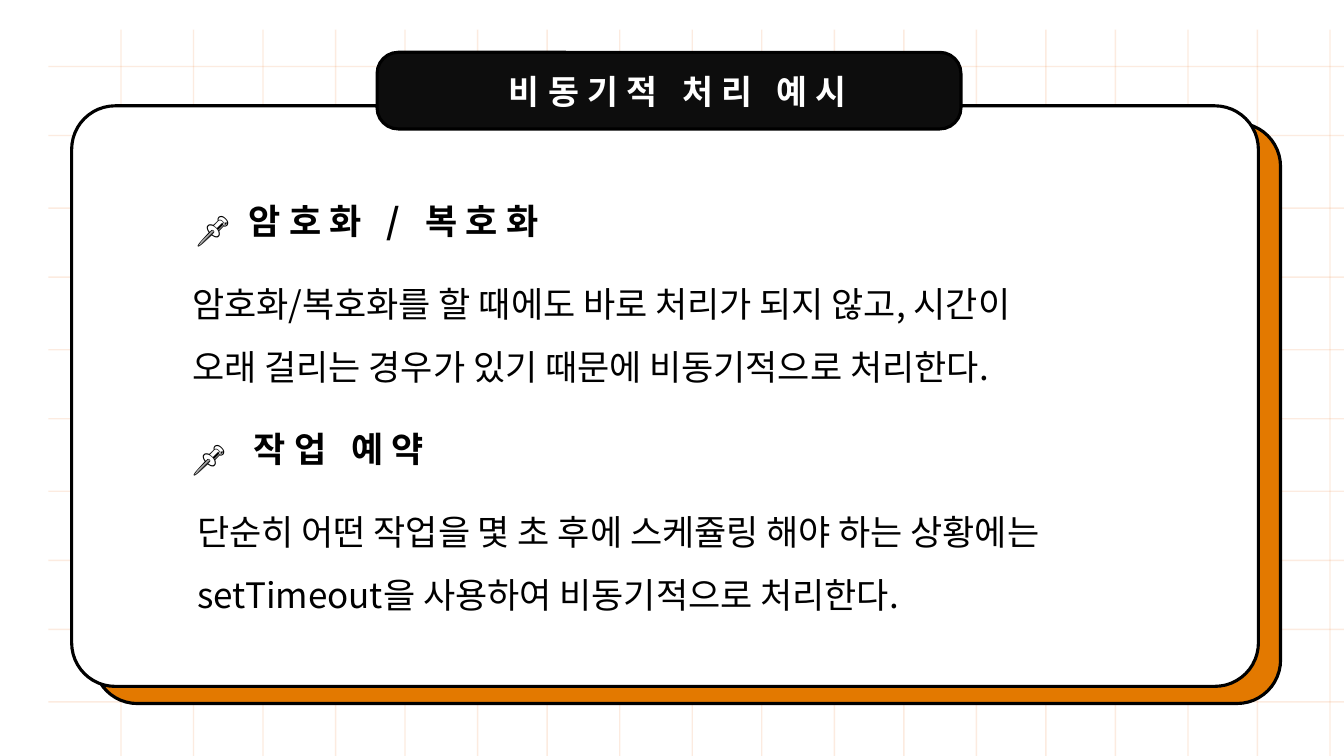
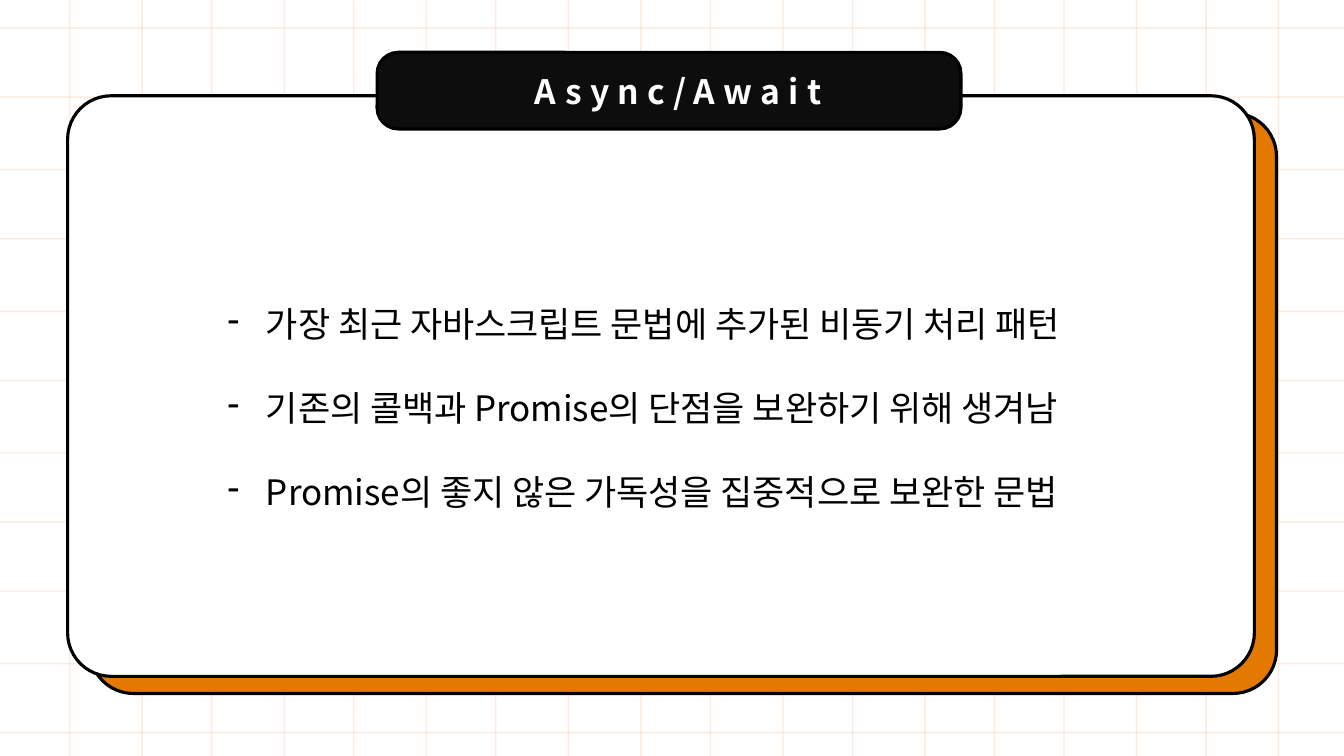
from dataclasses import dataclass
from itertools import accumulate

import pptx
import pptx.dml.color
import pptx.enum.shapes
import pptx.enum.text
import pptx.oxml.ns
import pptx.presentation
import pptx.shapes.autoshape
import pptx.shapes.connector
import pptx.slide
import pptx.text.text
import pptx.util
from lxml import etree

WIDTH = pptx.util.Inches(13.33)
HEIGHT = pptx.util.Inches(7.5)
FONT = "Noto Sans CJK KR"

BLACK = pptx.dml.color.RGBColor(0x00, 0x00, 0x00)
WHITE = pptx.dml.color.RGBColor(0xFF, 0xFF, 0xFF)
INK = pptx.dml.color.RGBColor(0x0D, 0x0D, 0x0D)
ORANGE = pptx.dml.color.RGBColor(0xE3, 0x79, 0x00)
GRID_ORANGE = pptx.dml.color.RGBColor(0xED, 0x7D, 0x31)
GRID_OPACITY = 15

# All positions and sizes below are percentages of the slide's width or height.
WIDE_COLUMN, NARROW_COLUMN = 5.4, 5.17
WIDE_ROW, NARROW_ROW = 9.6, 9.13
COLUMN_PATTERN = "WNWNWNWWNWNWNNWNW"
ROW_PATTERN = "NWNWNWNNWN"
CARD_WIDTH, CARD_HEIGHT = 88.3, 76.8
SHADE_RIGHT, SHADE_DOWN = 1.65, 2.27


@dataclass(frozen=True)
class Area:
    left: float
    top: float
    width: float
    height: float


@dataclass(frozen=True)
class Style:
    size: float = 25
    color: pptx.dml.color.RGBColor = BLACK
    bold: bool = False
    tracking: float = 0
    line_spacing: float = 1
    bullet: str = ""
    centered: bool = False


@dataclass(frozen=True)
class Block:
    area: Area
    lines: tuple[str, ...]
    style: Style


@dataclass(frozen=True)
class Grid:
    """Left and top edges of the ruled paper and its first lines."""
    left: float
    top: float
    first_column: float
    first_row: float


@dataclass(frozen=True)
class Page:
    title: str
    grid: Grid
    card_left: float
    card_top: float
    blocks: tuple[Block, ...]


TITLE = Style(size=24, color=WHITE, bold=True, tracking=6, centered=True)
HEADING = Style(bold=True, tracking=6)
PIN = Style(size=24, bold=True, tracking=6)
BODY = Style(line_spacing=1.5)
DASHED_LIST = Style(line_spacing=2, bullet="-")
TAB = Area(28.06, 6.93, 43.44, 10.13)

PAGES = (
    Page("비동기적 처리 예시", Grid(3.6, 3.93, 9, 8.8), 5.33, 14, (
        Block(Area(13.58, 34, 69.92, 17.2), (
            "암호화/복호화를 할 때에도 바로 처리가 되지 않고, 시간이",
            "오래 걸리는 경우가 있기 때문에 비동기적으로 처리한다.",
        ), BODY),
        Block(Area(17.78, 25.73, 70, 6.93), ("암호화 / 복호화",), HEADING),
        Block(Area(13.95, 64.13, 69.92, 25.6), (
            "단순히 어떤 작업을 몇 초 후에 스케쥴링 해야 하는 상황에는"
            "setTimeout을 사용하여 비동기적으로 처리한다.",
        ), BODY),
        Block(Area(18.15, 55.87, 70, 6.93), ("작업 예약",), HEADING),
        Block(Area(13.88, 26.8, 5.18, 6.67), ("📌",), PIN),
        Block(Area(13.58, 57.07, 5.18, 6.67), ("📌",), PIN),
    )),
    Page("Async/Await", Grid(0, 0, 5.18, 3.73), 5.03, 12.67, (
        Block(Area(16.2, 33.87, 75, 33.33), (
            "가장 최근 자바스크립트 문법에 추가된 비동기 처리 패턴",
            "기존의 콜백과 Promise의 단점을 보완하기 위해 생겨남",
            "Promise의 좋지 않은 가독성을 집중적으로 보완한 문법",
        ), DASHED_LIST),
    )),
)


def across(share: float) -> pptx.util.Emu:
    return pptx.util.Emu(round(WIDTH * share / 100))


def down(share: float) -> pptx.util.Emu:
    return pptx.util.Emu(round(HEIGHT * share / 100))


def place(area: Area) -> tuple[pptx.util.Emu, ...]:
    return across(area.left), down(area.top), across(area.width), down(area.height)


def add_child(parent: etree.ElementBase, tag: str, **attributes: str) -> None:
    child = etree.SubElement(parent, pptx.oxml.ns.qn(tag))
    for name, value in attributes.items():
        child.set(name, value)


def grid_positions(first: float, pattern: str, wide: float, narrow: float) -> list[float]:
    gaps = (wide if letter == "W" else narrow for letter in pattern)
    return [place for place in accumulate(gaps, initial=first) if place < 100]


def draw_grid_line(slide: pptx.slide.Slide, start: tuple[float, float],
                   end: tuple[float, float]) -> None:
    line = slide.shapes.add_connector(
        pptx.enum.shapes.MSO_CONNECTOR.STRAIGHT,
        across(start[0]), down(start[1]), across(end[0]), down(end[1]))
    line.line.width = pptx.util.Pt(1)
    line.line.color.rgb = GRID_ORANGE
    color = line.line.fill.fore_color
    color.rgb = GRID_ORANGE
    properties = line._element.spPr
    add_child(properties.find(".//" + pptx.oxml.ns.qn("a:srgbClr")),
              "a:alpha", val=str(GRID_OPACITY * 1000))
    add_child(properties, "a:effectLst")


def draw_grid(slide: pptx.slide.Slide, grid: Grid) -> None:
    for row in grid_positions(grid.first_row, ROW_PATTERN, WIDE_ROW, NARROW_ROW):
        draw_grid_line(slide, (grid.left, row), (100, row))
    for column in grid_positions(grid.first_column, COLUMN_PATTERN,
                                 WIDE_COLUMN, NARROW_COLUMN):
        draw_grid_line(slide, (column, grid.top), (column, 100))


def draw_panel(slide: pptx.slide.Slide, area: Area, fill: pptx.dml.color.RGBColor,
               rounding: float) -> pptx.shapes.autoshape.Shape:
    panel = slide.shapes.add_shape(
        pptx.enum.shapes.MSO_SHAPE.ROUNDED_RECTANGLE, *place(area))
    panel.adjustments[0] = rounding
    panel.shadow.inherit = False
    panel.fill.solid()
    panel.fill.fore_color.rgb = fill
    panel.line.color.rgb = BLACK
    panel.line.width = pptx.util.Pt(2.25)
    return panel


def format_paragraph(para: pptx.text.text._Paragraph, style: Style) -> None:
    properties = para._p.get_or_add_pPr()
    para.line_spacing = style.line_spacing
    para.alignment = (pptx.enum.text.PP_ALIGN.CENTER if style.centered
                      else pptx.enum.text.PP_ALIGN.LEFT)
    if style.bullet:
        indent = pptx.util.Inches(0.38)
        properties.set("marL", str(indent))
        properties.set("indent", str(-indent))
        add_child(properties, "a:buChar", char=style.bullet)
    font = para.font
    font.name = FONT
    font.size = pptx.util.Pt(style.size)
    font.bold = style.bold
    font.color.rgb = style.color
    defaults = properties.find(pptx.oxml.ns.qn("a:defRPr"))
    add_child(defaults, "a:ea", typeface=FONT)
    if style.tracking:
        defaults.set("spc", str(round(style.tracking * 100)))


def write_lines(frame: pptx.text.text.TextFrame, lines: tuple[str, ...],
                style: Style) -> None:
    frame.word_wrap = True
    for index, line in enumerate(lines):
        para = frame.add_paragraph() if index else frame.paragraphs[0]
        para.text = line
        format_paragraph(para, style)


def draw_title(slide: pptx.slide.Slide, title: str) -> None:
    frame = draw_panel(slide, TAB, INK, 0.275).text_frame
    frame.margin_left = across(3)
    frame.margin_right = across(1.65)
    frame.vertical_anchor = pptx.enum.text.MSO_ANCHOR.MIDDLE
    write_lines(frame, (title,), TITLE)


def draw_page(deck: pptx.presentation.Presentation, page: Page) -> None:
    slide = deck.slides.add_slide(deck.slide_layouts[6])
    draw_grid(slide, page.grid)
    for right, lower, fill in ((SHADE_RIGHT, SHADE_DOWN, ORANGE), (0, 0, WHITE)):
        area = Area(page.card_left + right, page.card_top + lower,
                    CARD_WIDTH, CARD_HEIGHT)
        draw_panel(slide, area, fill, 0.075)
    draw_title(slide, page.title)
    for block in page.blocks:
        box = slide.shapes.add_textbox(*place(block.area))
        write_lines(box.text_frame, block.lines, block.style)


def main() -> None:
    deck = pptx.Presentation()
    deck.slide_width = WIDTH
    deck.slide_height = HEIGHT
    for page in PAGES:
        draw_page(deck, page)
    deck.save("out.pptx")


if __name__ == "__main__":
    main()
